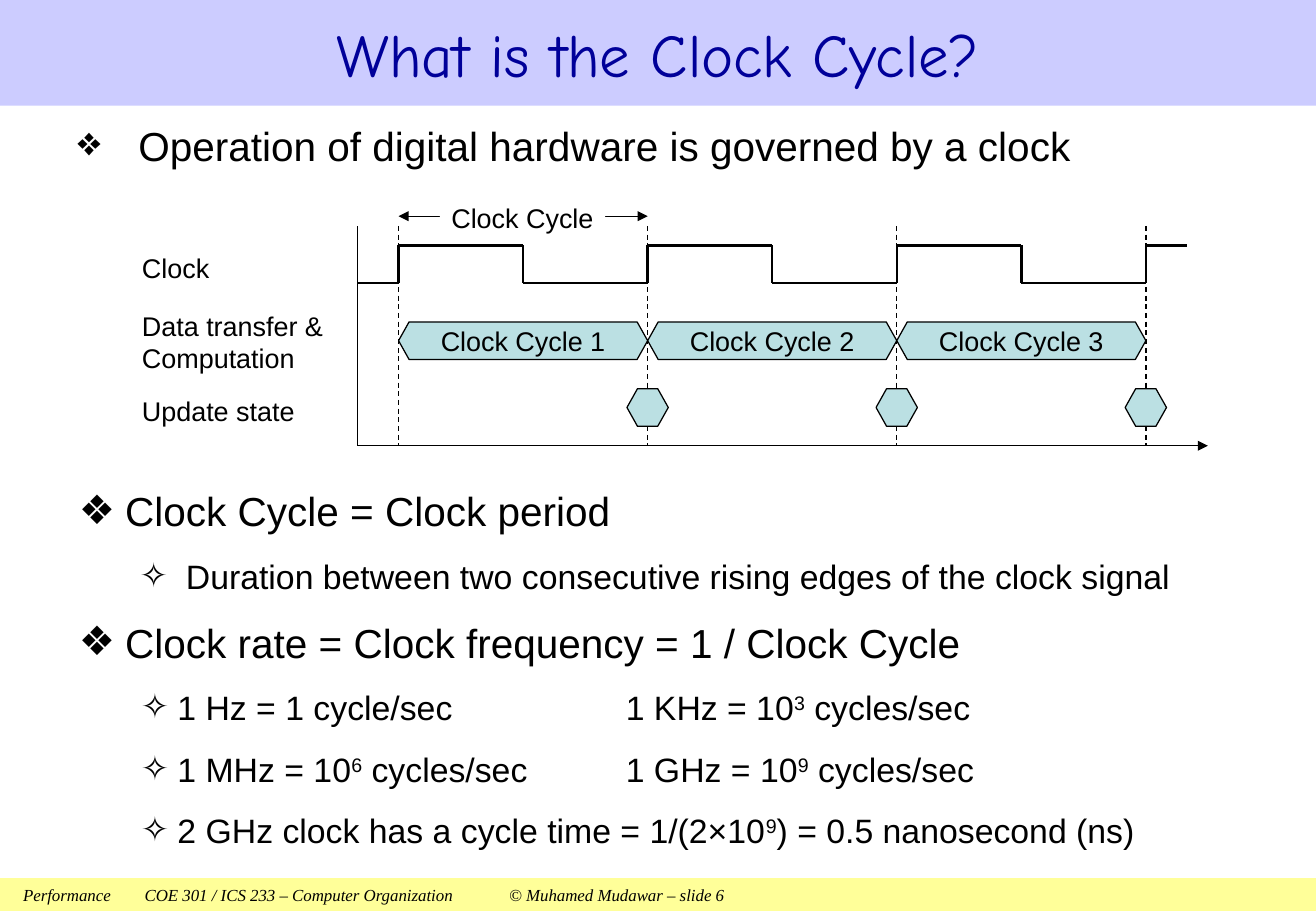
from dataclasses import dataclass
from itertools import pairwise

from lxml.etree import SubElement
from pptx import Presentation
from pptx.dml.color import RGBColor
from pptx.enum.dml import MSO_LINE as Dash
from pptx.enum.shapes import MSO_CONNECTOR as Link, MSO_SHAPE as Shape
from pptx.enum.text import MSO_ANCHOR as Anchor, MSO_AUTO_SIZE as Fit, PP_ALIGN as Align
from pptx.oxml.ns import qn
from pptx.util import Inches, Pt

BLACK, WHITE, TEAL = "000000", "FFFFFF", "BBE0E3"
WIDTH = 10.83
START, CYCLE, COUNT = 3.28, 2.05, 3
HIGH, LOW = 2.02, 2.33
AXIS, TOP, BASE = 2.94, 1.86, 3.67
EDGES = [START + CYCLE * i for i in range(COUNT + 1)]


@dataclass
class Item:
    text: str
    level: int = 0
    left: float = 0.38
    hang: float = 0.38
    before: float = 10
    space: float = 1.1


@dataclass
class Label:
    text: str
    top: float
    width: float
    height: float


TOPIC = Item("Operation of digital hardware is governed by a clock", 0, 0.5, 0.5, 9.6, 1)
ITEMS = [
    Item("Clock Cycle = Clock period"),
    Item("Duration between two consecutive rising edges of the clock signal", 1, 0.88),
    Item("Clock rate = Clock frequency = 1 / Clock Cycle"),
    Item("1 Hz = 1 cycle/sec\t1 KHz = 10^3^ cycles/sec", 1, 0.81, 0.3),
    Item("1 MHz = 10^6^ cycles/sec\t1 GHz = 10^9^ cycles/sec", 1, 0.81, 0.3),
    Item("2 GHz clock has a cycle time = 1/(2×10^9^) = 0.5 nanosecond (ns)", 1, 0.81, 0.3),
]
LABELS = [
    Label("Clock", 2.02, 0.76, 0.37),
    Label("Data transfer & Computation", 2.5, 1.88, 0.64),
    Label("Update state", 3.2, 1.47, 0.37),
]


def color(code: str) -> RGBColor:
    return RGBColor.from_string(code)


def style(para, size: float, face: str = "Arial", ink: str = BLACK, slant: bool = False) -> None:
    for run in para.runs:
        font = run.font
        font.name, font.size, font.italic = face, Pt(size), slant
        font.color.rgb = color(ink)


def place(shape, left: float, top: float, width: float, height: float) -> None:
    shape.left, shape.top = Inches(left), Inches(top)
    shape.width, shape.height = Inches(width), Inches(height)


def write(para, item: Item) -> None:
    for i, part in enumerate(item.text.split("^")):
        run = para.add_run()
        run.text = part
        if i % 2:
            run._r.get_or_add_rPr().set("baseline", "30000")
    style(para, 20 if item.level else 24)
    para.level = item.level
    para.line_spacing, para.space_before = item.space, Pt(item.before)
    props = para._p.get_or_add_pPr()
    props.set("marL", str(Inches(item.left)))
    props.set("indent", str(-Inches(item.hang)))
    SubElement(props, qn("a:buChar"), char="✧" if item.level else "❖")
    tabs = SubElement(props, qn("a:tabLst"))
    SubElement(tabs, qn("a:tab"), pos=str(Inches(4.5)), algn="l")


def line(slide, x1: float, y1: float, x2: float, y2: float, weight: float = 0.75,
         dash: bool = False, ends: tuple[str, ...] = ()) -> None:
    link = slide.shapes.add_connector(Link.STRAIGHT, Inches(x1), Inches(y1), Inches(x2), Inches(y2))
    link.line.color.rgb = color(BLACK)
    link.line.width = Pt(weight)
    if dash:
        link.line.dash_style = Dash.DASH
    props = link._element.spPr
    for end in ends:
        SubElement(props.find(qn("a:ln")), qn(f"a:{end}"), type="triangle")
    SubElement(props, qn("a:effectLst"))


def block(slide, kind: Shape, left: float, top: float, width: float, height: float,
          fill: str, edge: bool = False, text: str = ""):
    shape = slide.shapes.add_shape(kind, Inches(left), Inches(top), Inches(width), Inches(height))
    shape.shadow.inherit = False
    shape.fill.solid()
    shape.fill.fore_color.rgb = color(fill)
    if edge:
        shape.line.color.rgb = color(BLACK)
        shape.line.width = Pt(0.75)
    else:
        shape.line.fill.background()
    if kind == Shape.HEXAGON:
        shape.adjustments[0] = 0.28
    if text:
        frame = shape.text_frame
        frame.text = text
        frame.word_wrap = False
        frame.vertical_anchor = Anchor.MIDDLE
        frame.paragraphs[0].alignment = Align.CENTER
        style(frame.paragraphs[0], 16)
    return shape


def text_box(slide, left: float, top: float, width: float, height: float):
    frame = slide.shapes.add_textbox(Inches(left), Inches(top), Inches(width), Inches(height)).text_frame
    frame.word_wrap = True
    return frame


def draw_head(slide) -> None:
    title = slide.shapes.title
    place(title, 0, 0, WIDTH, 0.87)
    title.fill.solid()
    title.fill.fore_color.rgb = color("CCCCFF")
    frame = title.text_frame
    frame.text = "What is the Clock Cycle?"
    frame.vertical_anchor = Anchor.MIDDLE
    frame.paragraphs[0].alignment = Align.CENTER
    style(frame.paragraphs[0], 36, "Comic Neue", "000099")


def draw_foot(slide) -> None:
    foot = block(slide, Shape.RECTANGLE, 0, 7.23, WIDTH, 0.27, "FFFF99",
                 text="Performance\tCOE 301 / ICS 233 – Computer Organization\t© Muhamed Mudawar – slide 6")
    frame = foot.text_frame
    frame.word_wrap = True
    frame.margin_left = Inches(0.19)
    frame.paragraphs[0].alignment = Align.LEFT
    style(frame.paragraphs[0], 10, "Times New Roman", slant=True)


def draw_body(slide) -> None:
    body = slide.placeholders[1]
    place(body, 0.55, 3.91, 10.01, 3.19)
    frame = body.text_frame
    frame.auto_size = Fit.NONE
    for i, item in enumerate(ITEMS):
        write(frame.add_paragraph() if i else frame.paragraphs[0], item)
    write(text_box(slide, 0.54, 0.95, 10.02, 0.59).paragraphs[0], TOPIC)


def draw_clock(slide) -> None:
    line(slide, START, 1.78, EDGES[1], 1.78, ends=("headEnd", "tailEnd"))
    block(slide, Shape.RECTANGLE, 3.62, 1.7, 1.36, 0.18, WHITE, text="Clock Cycle")
    for x in EDGES:
        line(slide, x, TOP, x, BASE, dash=True)
    wave = [(AXIS, LOW)]
    for x in EDGES[:-1]:
        mid = x + CYCLE / 2
        wave += [(x, LOW), (x, HIGH), (mid, HIGH), (mid, LOW)]
    wave += [(EDGES[-1], LOW), (EDGES[-1], HIGH), (9.77, HIGH)]
    for here, there in pairwise(wave):
        line(slide, *here, *there, weight=1.5)
    line(slide, AXIS, BASE, 9.94, BASE, ends=("tailEnd",))
    line(slide, AXIS, BASE, AXIS, TOP)
    for i, (x, end) in enumerate(pairwise(EDGES), 1):
        block(slide, Shape.HEXAGON, x, 2.65, CYCLE, 0.31, TEAL, True, f"Clock Cycle {i}")
        block(slide, Shape.HEXAGON, end - 0.17, 3.2, 0.34, 0.31, TEAL, True)
    for label in LABELS:
        frame = text_box(slide, 1.07, label.top, label.width, label.height)
        frame.text = label.text
        style(frame.paragraphs[0], 16)


def main() -> None:
    deck = Presentation()
    deck.slide_width, deck.slide_height = Inches(WIDTH), Inches(7.5)
    slide = deck.slides.add_slide(deck.slide_layouts[1])
    draw_foot(slide)
    draw_head(slide)
    draw_body(slide)
    draw_clock(slide)
    deck.save("out.pptx")


if __name__ == "__main__":
    main()
